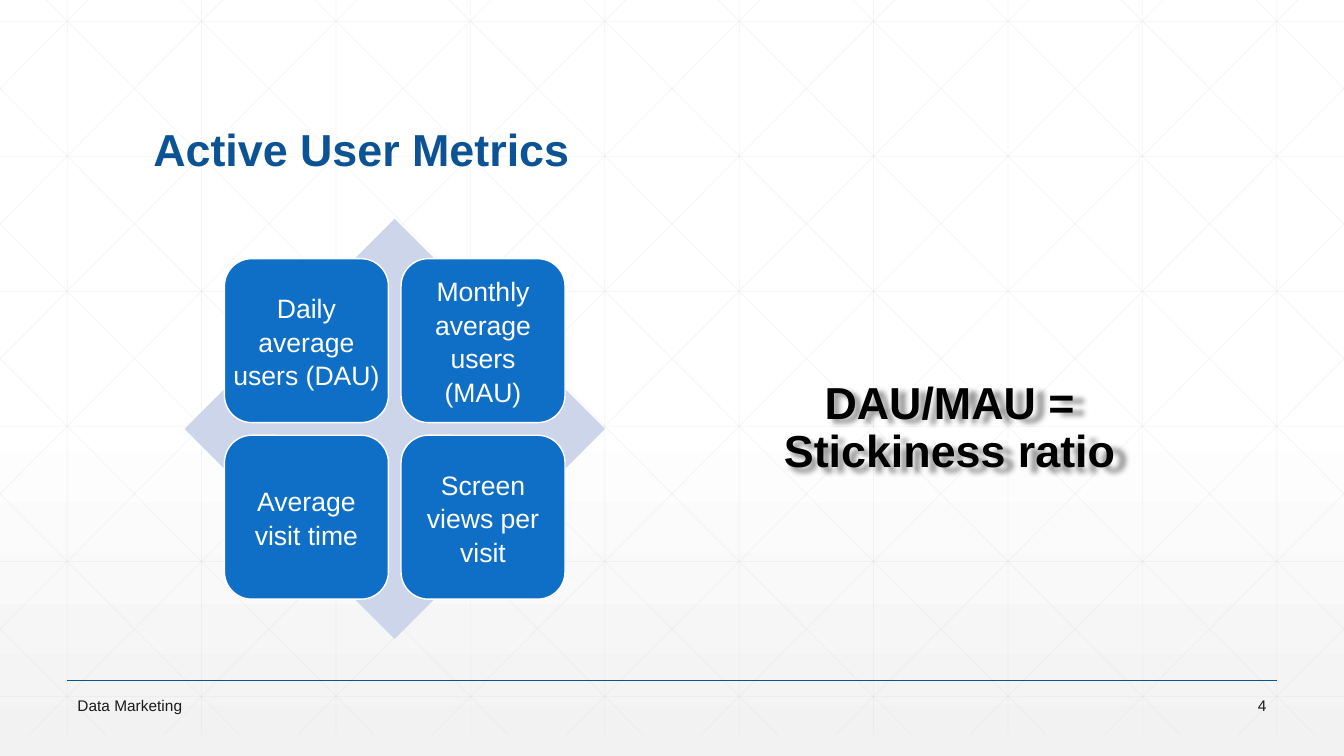
from lxml.etree import SubElement as Sub
from pptx import Presentation
from pptx.dml.color import RGBColor as Rgb
from pptx.enum.shapes import MSO_CONNECTOR as Conn, MSO_SHAPE as Form
from pptx.enum.text import MSO_ANCHOR as Anchor, MSO_AUTO_SIZE as Fit, PP_ALIGN as Align
from pptx.oxml import parse_xml
from pptx.oxml.ns import qn
from pptx.util import Inches as In, Pt

WIDE, HIGH = 13.33, 7.5
STEP = WIDE / 10
NAVY, BLUE, WHITE, GRAY, INK = "0B5394", "0F6FC6", "FFFFFF", "D9D9D9", "1A1A1A"


def write(shape, text, size=11, color=INK, bold=False, align=Align.LEFT, lead=1.0, anchor=Anchor.MIDDLE):
    frame = shape.text_frame
    frame.word_wrap, frame.auto_size = True, Fit.NONE
    frame.vertical_anchor = anchor
    para = frame.paragraphs[0]
    para.text, para.alignment, para.line_spacing = text, align, lead
    font = para.font
    font.name, font.size, font.bold = "Arial", Pt(size), bold
    font.color.rgb = Rgb.from_string(color)


def rule(x1, y1, x2, y2, color=GRAY, width=0.5, alpha=None):
    line = slide.shapes.add_connector(Conn.STRAIGHT, In(x1), In(y1), In(x2), In(y2))
    line.line.width = Pt(width)
    line.line.color.rgb = Rgb.from_string(color)
    if alpha:
        tint = line.element.spPr.find(".//" + qn("a:srgbClr"))
        Sub(tint, qn("a:alpha"), val=str(alpha * 1000))
    Sub(line.element.spPr, qn("a:effectLst"))


deck = Presentation()
deck.slide_width, deck.slide_height = In(WIDE), In(HIGH)
slide = deck.slides.add_slide(deck.slide_layouts[5])

# Background fading to light gray
fill = slide.background.fill
fill.gradient()
fill.gradient_angle = 270
for stop, (place, color) in zip(fill.gradient_stops, [(0.53, WHITE), (1, "F2F2F2")]):
    stop.position = place
    stop.color.rgb = Rgb.from_string(color)

# Faint square grid
top, base = -0.21, -0.21 + HIGH
for col in range(10):
    x = STEP * (col + 0.5)
    rule(x, top, x, base, alpha=25)
for row in range(6):
    y = 0.21 + 1.34 * row
    rule(0, y, WIDE, y, alpha=25)

# Faint diagonals, cut at the slide's sides, with their mirror images
for k in range(-5, 10):
    start = 0.25 + STEP * k
    x1, x2 = max(start, 0), min(start + 7.46, WIDE)
    y1, y2 = [top + (x - start) * HIGH / 7.46 for x in (x1, x2)]
    rule(x1, y1, x2, y2, alpha=25)
    rule(WIDE - x1, y1, WIDE - x2, y2, alpha=25)

# Footer rule
rule(STEP / 2, 0.9 * HIGH, WIDE - STEP / 2, 0.9 * HIGH, color=NAVY, width=1)

# Title, in front of the grid
title = slide.shapes.title
title.left, title.top, title.width, title.height = In(1.42), In(0.55), In(10.5), In(1.25)
write(title, "Active User Metrics", size=32, color=NAVY, bold=True, lead=0.9, anchor=Anchor.BOTTOM)
title.element.getparent().append(title.element)

# Diamond behind the matrix
left, head, side = 1.83, 2.17, 4.17
gem = slide.shapes.add_shape(Form.DIAMOND, In(left), In(head), In(side), In(side))
gem.shadow.inherit = False
gem.fill.solid()
gem.fill.fore_color.rgb = Rgb.from_string("CCD5EA")
gem.line.fill.background()

# Two by two matrix of metrics
metrics = [
    "Daily average users (DAU)", "Monthly average users (MAU)",
    "Average visit time", "Screen views per visit",
]
for i, name in enumerate(metrics):
    row, col = divmod(i, 2)
    x = left + side * (0.095 + 0.42 * col)
    y = head + side * (0.095 + 0.42 * row)
    card = slide.shapes.add_shape(Form.ROUNDED_RECTANGLE, In(x), In(y), In(0.39 * side), In(0.39 * side))
    card.shadow.inherit = False
    card.fill.solid()
    card.fill.fore_color.rgb = Rgb.from_string(BLUE)
    card.line.color.rgb = Rgb.from_string(WHITE)
    card.line.width = Pt(1)
    frame = card.text_frame
    frame.margin_left = frame.margin_right = frame.margin_top = frame.margin_bottom = 0
    write(card, name, size=19, color=WHITE, align=Align.CENTER, lead=1.05)

# Ratio with a soft shadow
ratio = slide.shapes.add_textbox(In(6.92), In(head), In(5), In(side))
write(ratio, "DAU/MAU = Stickiness ratio", size=32, color="000000", bold=True, align=Align.CENTER, lead=0.9)
ratio.element.spPr.append(parse_xml(
    '<a:effectLst xmlns:a="http://schemas.openxmlformats.org/drawingml/2006/main">'
    '<a:outerShdw blurRad="50800" dist="25400" dir="0" sx="102000" sy="102000" algn="tl" rotWithShape="0">'
    '<a:srgbClr val="000000"><a:alpha val="40000"/></a:srgbClr></a:outerShdw></a:effectLst>'))

# Footer and slide number
for text, x, width, align in [("Data Marketing", 0.67, 6.7, Align.LEFT), ("4", 11.66, 1, Align.RIGHT)]:
    foot = slide.shapes.add_textbox(In(x), In(6.88), In(width), In(0.24))
    write(foot, text, align=align)

deck.save("out.pptx")
